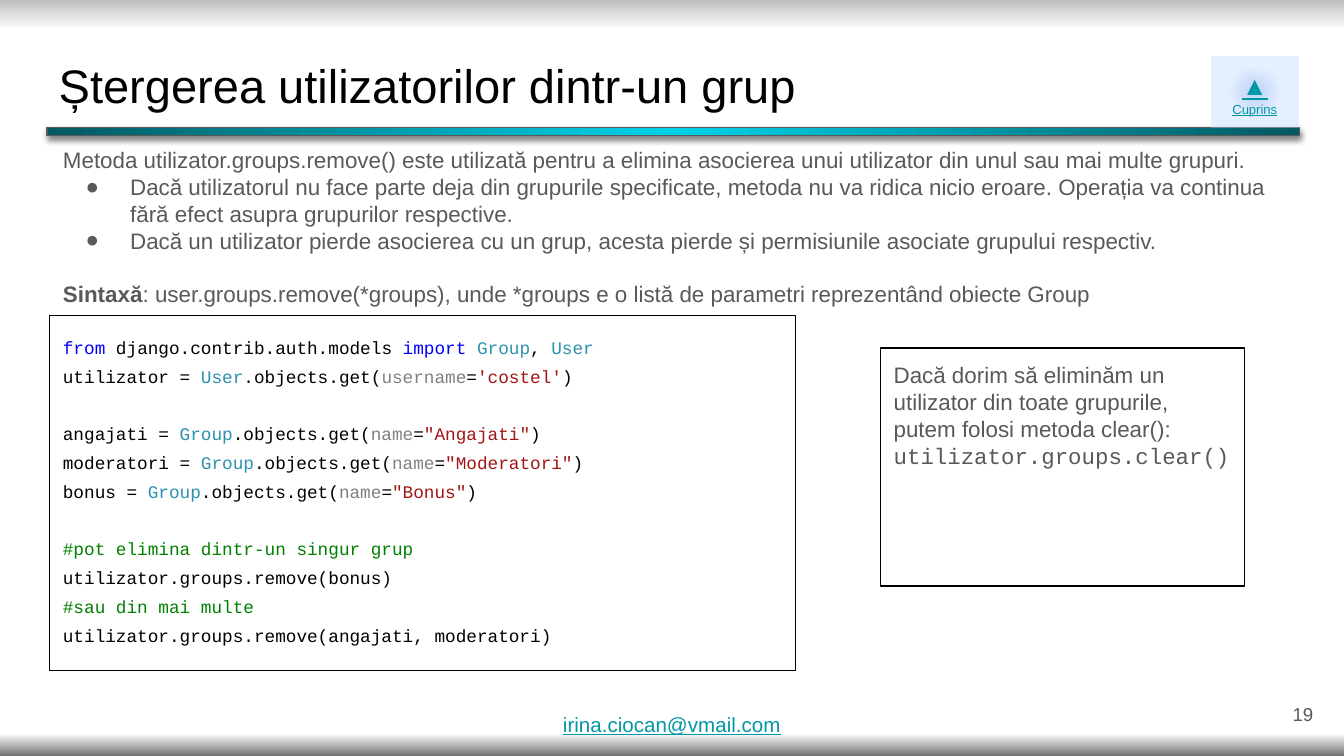
from dataclasses import dataclass

from lxml import etree
from pptx import Presentation
from pptx.dml.color import RGBColor
from pptx.enum.shapes import MSO_SHAPE
from pptx.enum.text import MSO_ANCHOR, MSO_AUTO_SIZE, PP_ALIGN
from pptx.oxml.ns import qn
from pptx.util import Cm, Pt

RECTANGLE = MSO_SHAPE.RECTANGLE
TOP, MIDDLE = MSO_ANCHOR.TOP, MSO_ANCHOR.MIDDLE
LEFT, CENTER, RIGHT = PP_ALIGN.LEFT, PP_ALIGN.CENTER, PP_ALIGN.RIGHT
NO_AUTOFIT = MSO_AUTO_SIZE.NONE


@dataclass(frozen=True)
class Theme:
    """Colours, fonts and type sizes of the slide."""
    black: str = "000000"
    grey: str = "595959"
    link: str = "0097A7"
    keyword: str = "0000FF"
    type_name: str = "2B91AF"
    argument: str = "808080"
    string: str = "A31515"
    comment: str = "008000"
    bar: tuple = ((0, "00D2E9"), (100, "045962"))
    index: tuple = ((0, "BCD6FF"), (0, "4A86E8"), (48, "BCD6FF"), (100, "BCD6FF"))
    page: tuple = ((0, "BFBFBF"), (4, "FFFFFF"), (97, "FFFFFF"), (100, "737373"))
    sans: str = "Arial"
    mono: str = "Courier New"
    title_size: float = 25.2
    body_size: float = 12
    email_size: float = 11
    number_size: float = 10
    code_size: float = 9.5
    arrow_size: float = 14
    index_size: float = 7
    body_gap: float = 14.3
    code_gap: float = 15.3


THEME = Theme()


def apply_format(target, values):
    """Set each named attribute of the target."""
    for name, value in values.items():
        setattr(target, name, value)


def font_format(size, color=THEME.grey, name=THEME.sans, **extra):
    """Return the format values of a run."""
    return {"size": Pt(size), "name": name, "color": color, **extra}


def place(shape, left, top, width, height):
    """Move and size a shape in centimetres."""
    apply_format(shape, {"left": Cm(left), "top": Cm(top),
                         "width": Cm(width), "height": Cm(height)})


def set_frame(shape, anchor=TOP, vertical_margin=0.25):
    """Give a text frame its margins, wrapping and anchor."""
    apply_format(shape.text_frame, {
        "word_wrap": True, "auto_size": NO_AUTOFIT, "vertical_anchor": anchor,
        "margin_left": Cm(0.25), "margin_right": Cm(0.25),
        "margin_top": Cm(vertical_margin), "margin_bottom": Cm(vertical_margin)})


def write(shape, paragraphs, alignment=LEFT, line_spacing=1.0):
    """Write paragraphs given as (runs, space before) pairs."""
    frame = shape.text_frame
    for index, (runs, space) in enumerate(paragraphs):
        paragraph = frame.add_paragraph() if index else frame.paragraphs[0]
        apply_format(paragraph, {"alignment": alignment, "line_spacing": line_spacing,
                                 "space_before": Pt(space), "space_after": Pt(0)})
        for text, values in runs:
            run = paragraph.add_run()
            run.text = text
            font_values = dict(values)
            run.font.color.rgb = RGBColor.from_string(font_values.pop("color"))
            apply_format(run.font, font_values)


def set_bullet(paragraph, bulleted):
    """Give a list paragraph its indent and bullet, or neither."""
    properties = paragraph._p.get_or_add_pPr()
    properties.set("marL", str(Cm(1.27 if bulleted else 0)))
    properties.set("indent", str(Cm(-0.84 if bulleted else 0)))
    if bulleted:
        color = etree.SubElement(properties, qn("a:buClr"))
        etree.SubElement(color, qn("a:srgbClr"), val=THEME.grey)
        etree.SubElement(properties, qn("a:buChar"), char="●")
    else:
        etree.SubElement(properties, qn("a:buNone"))


def set_gradient(fill, parent, stops, radial=True, opacity=100):
    """Put a radial or downward gradient in place of the fill."""
    fill.background()
    gradient = etree.Element(qn("a:gradFill"), rotWithShape="1")
    stop_list = etree.SubElement(gradient, qn("a:gsLst"))
    for position, value in stops:
        stop = etree.SubElement(stop_list, qn("a:gs"), pos=str(position * 1000))
        color = etree.SubElement(stop, qn("a:srgbClr"), val=value)
        if opacity < 100:
            etree.SubElement(color, qn("a:alpha"), val=str(opacity * 1000))
    if radial:
        circle = etree.SubElement(gradient, qn("a:path"), path="circle")
        etree.SubElement(circle, qn("a:fillToRect"),
                         dict.fromkeys("ltrb", "50000"))
    else:
        etree.SubElement(gradient, qn("a:lin"), ang="5400000", scaled="0")
    parent.replace(parent.find(qn("a:noFill")), gradient)


def add_box(slide, position, line_color=None):
    """Add an unfilled rectangle with an optional outline."""
    shape = slide.shapes.add_shape(RECTANGLE, 0, 0, 0, 0)
    place(shape, *position)
    shape.shadow.inherit = False
    shape.fill.background()
    if line_color:
        shape.line.color.rgb = RGBColor.from_string(line_color)
        shape.line.width = Pt(0.75)
    else:
        shape.line.fill.background()
    set_frame(shape)
    return shape


def add_label(slide, position, text, values, alignment=LEFT, **frame_values):
    """Add a one-line text box."""
    label = slide.shapes.add_textbox(0, 0, 0, 0)
    place(label, *position)
    set_frame(label, **frame_values)
    write(label, [([(text, values)], 0)], alignment)


def add_bar(slide):
    """Add the shaded bar under the title with its soft shadow."""
    bar = add_box(slide, (0.89, 2.41, 23.67, 0.15), THEME.grey)
    properties = bar._element.spPr
    set_gradient(bar.fill, properties, THEME.bar)
    shadow = etree.SubElement(properties.find(qn("a:effectLst")), qn("a:outerShdw"),
                              blurRad=str(Pt(3.4)), dist=str(Pt(1.5)),
                              dir="5400000", rotWithShape="0")
    color = etree.SubElement(shadow, qn("a:srgbClr"), val=THEME.black)
    etree.SubElement(color, qn("a:alpha"), val="50000")


def add_index_button(slide):
    """Add the tinted contents button."""
    button = add_box(slide, (22.89, 1.07, 1.65, 1.35))
    set_gradient(button.fill, button._element.spPr, THEME.index, opacity=37)
    write(button, [([(text, font_format(size, THEME.link, underline=True))], 0)
                   for text, size in (("▲", THEME.arrow_size),
                                      ("Cuprins", THEME.index_size))], CENTER)


def group_line(variable, value):
    """Return the code tokens that fetch one group."""
    return [(f"{variable} = ", THEME.black), ("Group", THEME.type_name),
            (".objects.get(", THEME.black), ("name", THEME.argument),
            ("=", THEME.black), (f'"{value}"', THEME.string), (")", THEME.black)]


def add_code(slide):
    """Add the framed, coloured code sample."""
    lines = [
        ([("from", THEME.keyword), (" django.contrib.auth.models ", THEME.black),
          ("import", THEME.keyword), (" ", THEME.black), ("Group", THEME.type_name),
          (", ", THEME.black), ("User", THEME.type_name)], 0),
        ([("utilizator = ", THEME.black), ("User", THEME.type_name),
          (".objects.get(", THEME.black), ("username", THEME.argument),
          ("=", THEME.black), ("'costel'", THEME.string), (")", THEME.black)], 0),
        (group_line("angajati", "Angajati"), THEME.code_gap),
        (group_line("moderatori", "Moderatori"), 0),
        (group_line("bonus", "Bonus"), 0),
        ([("#pot elimina dintr-un singur grup", THEME.comment)], THEME.code_gap),
        ([("utilizator.groups.remove(bonus)", THEME.black)], 0),
        ([("#sau din mai multe", THEME.comment)], 0),
        ([("utilizator.groups.remove(angajati, moderatori)", THEME.black)], 0)]
    box = add_box(slide, (0.94, 5.97, 14.1, 6.71), THEME.black)
    write(box, [([(text, font_format(THEME.code_size, color, THEME.mono))
                  for text, color in tokens], gap) for tokens, gap in lines],
          line_spacing=1.36)


def fill_placeholders(slide):
    """Place and fill the title and the explanatory list."""
    title, body = slide.shapes.title, slide.placeholders[1]
    place(title, 0.86, 0.81, 23.67, 1.6)
    set_frame(title)
    write(title, [([("Ștergerea utilizatorilor dintr-un grup",
                     font_format(THEME.title_size, THEME.black))], 0)])
    place(body, 0.94, 2.51, 23.6, 3.43)
    set_frame(body)
    plain = font_format(THEME.body_size)
    write(body, [
        ([("Metoda utilizator.groups.remove() este utilizată pentru a elimina asocierea unui utilizator din unul sau mai multe grupuri.", plain)], 0),
        ([("Dacă utilizatorul nu face parte deja din grupurile specificate, metoda nu va ridica nicio eroare. Operația va continua fără efect asupra grupurilor respective.", plain)], 0),
        ([("Dacă un utilizator pierde asocierea cu un grup, acesta pierde și permisiunile asociate grupului respectiv.", plain)], 0),
        ([("Sintaxă", {**plain, "bold": True}),
          (": user.groups.remove(*groups), unde *groups e o listă de parametri reprezentând obiecte Group", plain)], THEME.body_gap)])
    for index, paragraph in enumerate(body.text_frame.paragraphs):
        set_bullet(paragraph, index in (1, 2))


def main():
    """Build and save the slide."""
    presentation = Presentation()
    apply_format(presentation, {"slide_width": Cm(25.4), "slide_height": Cm(14.29)})
    slide = presentation.slides.add_slide(presentation.slide_layouts[1])
    fill = slide.background.fill
    set_gradient(fill, slide._element.find(".//" + qn("p:bgPr")), THEME.page, radial=False)
    fill_placeholders(slide)
    add_bar(slide)
    add_label(slide, (23.55, 12.95, 1.52, 1.09), "19",
              font_format(THEME.number_size), RIGHT, anchor=MIDDLE)
    add_index_button(slide)
    add_label(slide, (10.39, 13.46, 4.67, 0.69), "irina.ciocan@vmail.com",
              font_format(THEME.email_size, THEME.link, underline=True), vertical_margin=0)
    add_code(slide)
    note = add_box(slide, (16.64, 6.58, 6.88, 4.5), THEME.black)
    write(note, [
        ([("Dacă dorim să eliminăm un utilizator din toate grupurile, putem folosi metoda clear():",
           font_format(THEME.body_size))], 0),
        ([("utilizator.groups.clear()", font_format(THEME.body_size, name=THEME.mono))], 0)])
    presentation.save("out.pptx")


if __name__ == "__main__":
    main()
